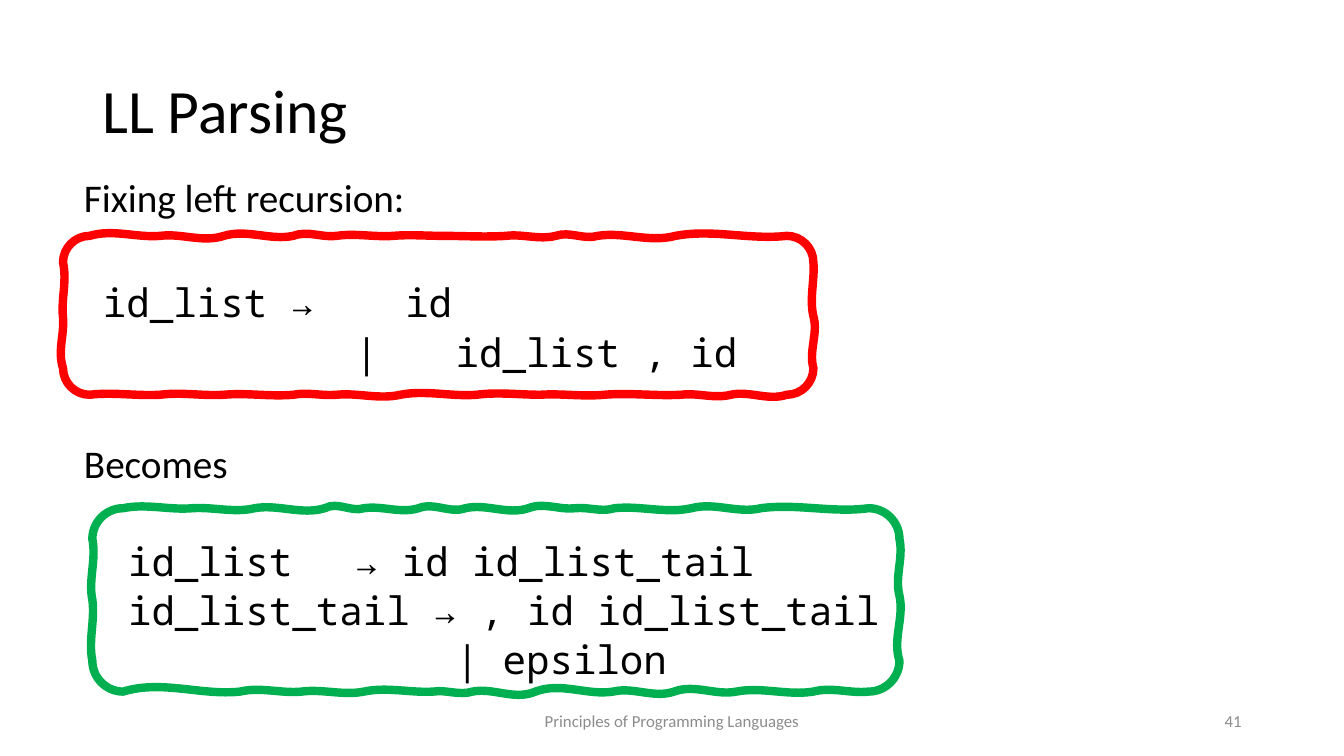
from lxml import etree
from pptx import Presentation
from pptx.dml.color import RGBColor
from pptx.enum.text import MSO_ANCHOR, PP_ALIGN
from pptx.oxml.ns import qn
from pptx.util import Pt

LEFT, CENTER, RIGHT = PP_ALIGN.LEFT, PP_ALIGN.CENTER, PP_ALIGN.RIGHT
TOP, MIDDLE = MSO_ANCHOR.TOP, MSO_ANCHOR.MIDDLE
BLACK = RGBColor(0x00, 0x00, 0x00)
GRAY = RGBColor(0x8C, 0x8C, 0x8C)
RED = RGBColor(0xFF, 0x00, 0x00)
GREEN = RGBColor(0x00, 0xB0, 0x50)
SANS, MONO = "Calibri", "Noto Sans Mono"
SLIDE_SIZE = 960, 540
UNITS_PER_POINT = 100
ROUNDING = 0.55

HEADINGS = [
    ("LL Parsing", (66, 28.8, 828, 104.4), 44, BLACK, LEFT),
    ("Principles of Programming Languages", (318, 500.5, 324, 28.75), 12, GRAY, CENTER),
    ("41", (678, 500.5, 216, 28.75), 12, GRAY, RIGHT),
]

GRAMMAR_FRAME = 45.4, 124, 828, 343
GRAMMAR = [
    ("Fixing left recursion:", SANS, 7.5, 0, 0),
    ("id_list → \tid", MONO, 21, 0, 44.8),
    ("|\tid_list , id", MONO, 201, 0, 5.8),
    ("Becomes", SANS, 7.5, 0, 49.5),
    ("id_list\t→ id id_list_tail", MONO, 57, -18, 39.8),
    ("id_list_tail → , id id_list_tail", MONO, 57, -18, 5),
    ("| epsilon", MONO, 273, 0, 5),
]

# Each wave is (end of wave, first bend, second bend).
SKETCHED_BORDERS = [
    {
        "color": RED, "bounds": (45, 168.5, 581, 282), "radius": 19,
        "top": [(114.5, -5, 1.5), (160, -2, 5), (209.5, -5, 3.5), (240.5, -4, 1.5),
                (281, -2, 1), (316, -1, 0), (361.5, 0, 1), (397, -1.5, 3),
                (427, -3.5, 3), (482.5, -3, 5), (562, -5, 3)],
        "right": [(226, 1, -3), (263, 3.5, -3.5)],
        "bottom": [(522, 4.5, -3), (486.5, 3, -1.5), (431.5, 1, -1.5), (386, 1.5, -1),
                   (340.5, 0, -2), (286, 1.5, -3.5), (240.5, 3.5, -1.5), (209.5, 1, -2),
                   (160, 1.5, -1.5), (114.5, 1, -2), (64, 1, -2)],
        "left": [(227, -4, 1), (187.5, -1.5, 3)],
    },
    {
        "color": GREEN, "bounds": (66, 363, 642.5, 494), "radius": 22,
        "top": [(137.5, -3.5, 1.5), (182, -1, 3.5), (232, -3, 5), (260, -5, 3),
                (299, -2, 4), (332.5, -4.5, 4), (377.5, -3.5, 5), (411, -4.5, 1.5),
                (439, -1, 3), (494, -2, 4), (543.5, -4.5, 4), (620.5, -3.5, 3.5)],
        "right": [(425.5, 3, -3.5), (472, 3.5, -5)],
        "bottom": [(581, 1.5, -3.5), (526, 3, -3.5), (481.5, 3, -5.5), (438, 5, -3.5),
                   (382.5, 3, -7), (337.5, 6.5, -3), (309.5, 3, -1.5), (260, 1, -3.5),
                   (215.5, 3, -2), (171.5, 1.5, -3.5), (88, 3, -8.5)],
        "left": [(428.5, -3, 2), (385, -3, 3)],
    },
]


def set_all(target, values):
    for name, value in values.items():
        setattr(target, name, value)


def add_frame(slide, bounds, anchor):
    frame = slide.shapes.add_textbox(*map(Pt, bounds)).text_frame
    set_all(frame, {"word_wrap": True, "vertical_anchor": anchor})
    return frame


def write_line(paragraph, words, font, size, color, layout):
    set_all(paragraph, layout)
    run = paragraph.add_run()
    set_all(run, {"text": words})
    set_all(run.font, {"name": font, "size": Pt(size)})
    run.font.color.rgb = color


def wavy_side(start, waves, axis):
    def place(along, across):
        return (along, across) if axis == 0 else (across, along)

    position, edge = start[axis], start[1 - axis]
    curves = []
    for end, first, second in waves:
        third = (end - position) / 3
        curves.append((
            place(position + third, edge + first),
            place(end - third, edge + second),
            place(end, edge),
        ))
        position = end
    return curves


def corner(start, turn, end):
    bends = [
        tuple(p + (q - p) * ROUNDING for p, q in zip(point, turn))
        for point in (start, end)
    ]
    return (*bends, end)


def bend_segments(shape, curves, left, top):
    segments = list(shape._element.iter(qn("a:lnTo")))
    for segment, curve in zip(segments, curves):
        segment.tag = qn("a:cubicBezTo")
        segment.remove(segment[0])
        for x, y in curve:
            point = etree.SubElement(segment, qn("a:pt"))
            point.set("x", str(round((x - left) * UNITS_PER_POINT)))
            point.set("y", str(round((y - top) * UNITS_PER_POINT)))


def add_border(slide, border):
    left, top, right, bottom = border["bounds"]
    radius = border["radius"]
    sides = [
        ("top", 0, (left, top), (left + radius, top)),
        ("right", 1, (right, top), (right, top + radius)),
        ("bottom", 0, (right, bottom), (right - radius, bottom)),
        ("left", 1, (left, bottom), (left, bottom - radius)),
    ]
    first = (left, top + radius)
    curves, last = [], first
    for name, axis, turn, start in sides:
        curves.append(corner(last, turn, start))
        curves += wavy_side(start, border[name], axis)
        last = curves[-1][-1]
    knots = [
        tuple(value * UNITS_PER_POINT for value in point)
        for point in [first] + [curve[-1] for curve in curves]
    ]
    builder = slide.shapes.build_freeform(*knots[0], scale=Pt(1) / UNITS_PER_POINT)
    builder.add_line_segments(knots[1:], close=True)
    shape = builder.convert_to_shape()
    bend_segments(shape, curves, left, top)
    shape.shadow.inherit = False
    shape.fill.background()
    shape.line.color.rgb = border["color"]
    shape.line.width = Pt(6)


def main():
    deck = Presentation()
    width, height = map(Pt, SLIDE_SIZE)
    set_all(deck, {"slide_width": width, "slide_height": height})
    slide = deck.slides.add_slide(deck.slide_layouts[6])

    for words, bounds, size, color, alignment in HEADINGS:
        frame = add_frame(slide, bounds, MIDDLE)
        layout = {"alignment": alignment, "line_spacing": 0.9 if size > 12 else 1.0}
        write_line(frame.paragraphs[0], words, SANS, size, color, layout)

    frame = add_frame(slide, GRAMMAR_FRAME, TOP)
    for index, (words, font, margin, indent, gap) in enumerate(GRAMMAR):
        paragraph = frame.add_paragraph() if index else frame.paragraphs[0]
        layout = {"line_spacing": Pt(30), "space_before": Pt(gap)}
        write_line(paragraph, words, font, 28, BLACK, layout)
        properties = paragraph._p.get_or_add_pPr()
        for name, length in {"marL": margin, "indent": indent, "defTabSz": 72}.items():
            properties.set(name, str(Pt(length)))

    for border in SKETCHED_BORDERS:
        add_border(slide, border)

    deck.save("out.pptx")


if __name__ == "__main__":
    main()
